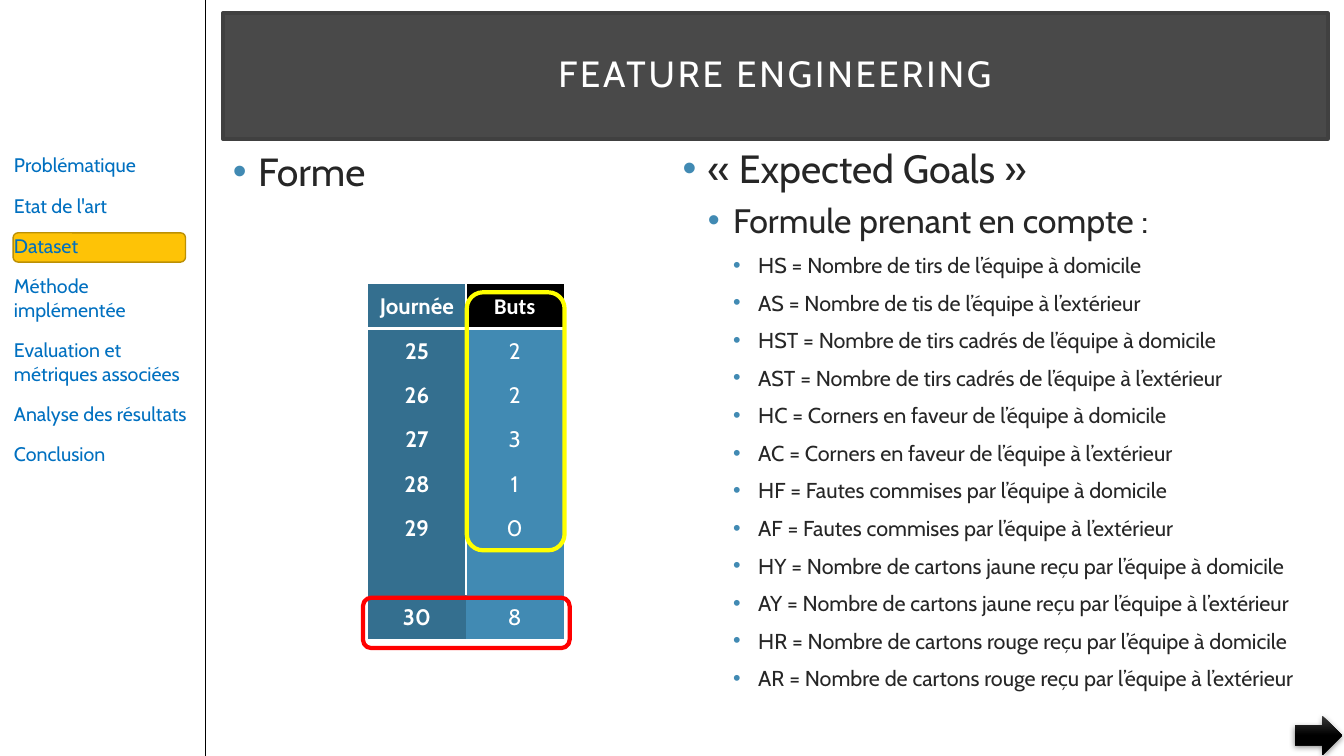
from lxml.etree import SubElement
from pptx import Presentation
from pptx.dml.color import RGBColor
from pptx.enum.shapes import MSO_CONNECTOR, MSO_SHAPE
from pptx.enum.text import MSO_ANCHOR, MSO_AUTO_SIZE, PP_ALIGN
from pptx.oxml.ns import qn
from pptx.util import Inches, Pt

COLORS = {
    "link": "0070C0", "gold": "FEC306", "gold_edge": "BC9004",
    "black": "000000", "white": "FFFFFF", "banner": "0D0D0D",
    "banner_edge": "404040", "text": "262626", "blue": "418AB3",
    "dark_blue": "346F8F", "red": "FF0000", "yellow": "FFFF00",
    "arrow_top": "393939",
}
FONT = "Cabin"
HEADING = "FEATURE ENGINEERING"
SECTIONS = [
    "Problématique", "Etat de l'art", "Dataset", "Méthode implémentée",
    "Evaluation et métriques associées", "Analyse des résultats", "Conclusion",
]
FORM = [(0, "Forme")]
FACTORS = [
    "HS = Nombre de tirs de l’équipe à domicile",
    "AS = Nombre de tis de l’équipe à l’extérieur",
    "HST = Nombre de tirs cadrés de l’équipe à domicile",
    "AST = Nombre de tirs cadrés de l’équipe à l’extérieur",
    "HC = Corners en faveur de l’équipe à domicile",
    "AC = Corners en faveur de l’équipe à l’extérieur",
    "HF = Fautes commises par l’équipe à domicile",
    "AF = Fautes commises par l’équipe à l’extérieur",
    "HY = Nombre de cartons jaune reçu par l’équipe à domicile",
    "AY = Nombre de cartons jaune reçu par l’équipe à l’extérieur",
    "HR = Nombre de cartons rouge reçu par l’équipe à domicile",
    "AR = Nombre de cartons rouge reçu par l’équipe à l’extérieur",
]
EXPECTED_GOALS = [(0, "« Expected Goals »"), (1, "Formule prenant en compte :")]
EXPECTED_GOALS += [(2, factor) for factor in FACTORS]
MATCHDAYS = [
    ("Journée", "Buts"), ("25", "2"), ("26", "2"), ("27", "3"),
    ("28", "1"), ("29", "0"), ("", ""), ("30", "8"),
]
COLUMN_WIDTH, ROW_HEIGHT = 0.97, 0.44
SPACING = {"space_before": Pt(6), "space_after": Pt(6)}


def rgb(name):
    return RGBColor.from_string(COLORS[name])


def apply(target, values):
    for key, value in values.items():
        setattr(target, key, value)


def place(shape, box):
    apply(shape, dict(zip(("left", "top", "width", "height"), map(Inches, box))))


def write(paragraph, text, size, color, bold=False, font=FONT):
    run = paragraph.add_run()
    run.text = text
    apply(run.font, {"name": font, "size": Pt(size), "bold": bold})
    run.font.color.rgb = rgb(color)
    return run


def add_preset(slide, kind, box, fill=None, edge=None, width=1):
    shape = slide.shapes.add_shape(kind, *map(Inches, box))
    shape.shadow.inherit = False
    if fill:
        shape.fill.solid()
        shape.fill.fore_color.rgb = rgb(fill)
    else:
        shape.fill.background()
    if edge:
        shape.line.color.rgb = rgb(edge)
        shape.line.width = Pt(width)
    else:
        shape.line.fill.background()
    return shape


def add_sidebar(slide):
    add_preset(slide, MSO_SHAPE.ROUNDED_RECTANGLE, (0.13, 2.31, 1.71, 0.29), "gold", "gold_edge")
    divider = slide.shapes.add_connector(
        MSO_CONNECTOR.STRAIGHT, Inches(2.04), 0, Inches(2.04), Inches(7.5))
    divider.line.color.rgb = rgb("black")
    divider.line.width = Pt(1)
    SubElement(divider._element.spPr, qn("a:effectLst"))
    menu = slide.shapes.add_textbox(*map(Inches, (0.04, 1.47, 1.93, 3.23))).text_frame
    menu.word_wrap = True
    for index, section in enumerate(SECTIONS):
        paragraph = menu.paragraphs[0] if index == 0 else menu.add_paragraph()
        apply(paragraph, SPACING)
        write(paragraph, section, 14, "link")


def fill_title(title):
    place(title, (2.21, 0.13, 10.96, 1.25))
    title.fill.solid()
    title.fill.fore_color.rgb = rgb("banner")
    color = title._element.spPr.find(qn("a:solidFill"))[0]
    SubElement(color, qn("a:alpha"), val="75000")
    title.line.color.rgb = rgb("banner_edge")
    title.line.width = Pt(2.5)
    frame = title.text_frame
    apply(frame, {"auto_size": MSO_AUTO_SIZE.NONE, "vertical_anchor": MSO_ANCHOR.MIDDLE})
    apply(frame, {f"margin_{side}": Inches(0.2) for side in ("left", "top", "right", "bottom")})
    paragraph = frame.paragraphs[0]
    apply(paragraph, {"alignment": PP_ALIGN.CENTER, "line_spacing": 0.9})
    run = write(paragraph, HEADING, 26, "white")
    run.font._element.set("spc", "200")


def fill_list(body, box, items, sizes, line_spacing):
    place(body, box)
    frame = body.text_frame
    apply(frame, {"auto_size": MSO_AUTO_SIZE.NONE, "vertical_anchor": MSO_ANCHOR.TOP})
    for index, (level, text) in enumerate(items):
        paragraph = frame.paragraphs[0] if index == 0 else frame.add_paragraph()
        apply(paragraph, {**SPACING, "level": level, "line_spacing": line_spacing})
        properties = paragraph._p.get_or_add_pPr()
        properties.set("marL", str(Inches(0.25 * (level + 1))))
        properties.set("indent", str(Inches(-0.25)))
        bullet_color = SubElement(properties, qn("a:buClr"))
        SubElement(bullet_color, qn("a:srgbClr"), val=COLORS["blue"])
        SubElement(properties, qn("a:buFont"), typeface="Arial")
        SubElement(properties, qn("a:buChar"), char="•")
        write(paragraph, text, sizes[level], "text")


def add_border(cell, side):
    border = SubElement(cell._tc.get_or_add_tcPr(), qn(f"a:ln{side}"), w=str(Pt(2)))
    fill = SubElement(border, qn("a:solidFill"))
    SubElement(fill, qn("a:srgbClr"), val=COLORS["white"])


def add_matchdays(slide):
    rows, columns = len(MATCHDAYS), len(MATCHDAYS[0])
    size = (COLUMN_WIDTH * columns, ROW_HEIGHT * rows)
    table = slide.shapes.add_table(rows, columns, *map(Inches, (3.65, 2.82, *size))).table
    table._tbl.tblPr.find(qn("a:tableStyleId")).text = "{2D5ABB26-0587-4C30-8999-92F81FD0307C}"
    for column in table.columns:
        column.width = Inches(COLUMN_WIDTH)
    for r, values in enumerate(MATCHDAYS):
        table.rows[r].height = Inches(ROW_HEIGHT)
        for c, value in enumerate(values):
            cell = table.cell(r, c)
            apply(cell, {
                "vertical_anchor": MSO_ANCHOR.MIDDLE, "margin_left": Inches(0.01),
                "margin_right": Inches(0.01), "margin_top": Inches(0.01), "margin_bottom": 0,
            })
            if c == 0 and r < rows - 1:
                add_border(cell, "R")
            if r == 0:
                add_border(cell, "B")
            cell.fill.solid()
            fill = "dark_blue" if c == 0 else "black" if r == 0 else "blue"
            cell.fill.fore_color.rgb = rgb(fill)
            if value:
                paragraph = cell.text_frame.paragraphs[0]
                paragraph.alignment = PP_ALIGN.CENTER
                font = "Calibri" if (r, c) == (0, 1) else FONT
                write(paragraph, value, 16, "white", r == 0 or c == 0, font)


def add_next_arrow(slide):
    arrow = add_preset(slide, MSO_SHAPE.RIGHT_ARROW, (12.84, 7.1, 0.47, 0.39))
    arrow.fill.gradient()
    arrow.fill.gradient_angle = 270
    for stop, color, position in zip(arrow.fill.gradient_stops, ("arrow_top", "black"), (0, 0.5)):
        stop.color.rgb = rgb(color)
        stop.position = position
    effects = arrow._element.spPr.find(qn("a:effectLst"))
    shadow = SubElement(effects, qn("a:outerShdw"), blurRad=str(Pt(4.4)),
                        dist=str(Pt(1.2)), dir="5400000", rotWithShape="0")
    color = SubElement(shadow, qn("a:srgbClr"), val=COLORS["black"])
    SubElement(color, qn("a:alpha"), val="45000")


def main():
    deck = Presentation()
    apply(deck, {"slide_width": Inches(13.33), "slide_height": Inches(7.5)})
    slide = deck.slides.add_slide(deck.slide_layouts[3])
    title, form, expected_goals = slide.placeholders
    add_sidebar(slide)
    fill_title(title)
    fill_list(expected_goals, (6.67, 1.47, 6.51, 5.91), EXPECTED_GOALS, (28.1, 24.2, 15.4), 0.8)
    fill_list(form, (2.21, 1.41, 4.45, 5.91), FORM, (28,), 1.0)
    add_matchdays(slide)
    add_preset(slide, MSO_SHAPE.ROUNDED_RECTANGLE, (3.6, 5.93, 2.05, 0.5), edge="red", width=3)
    add_preset(slide, MSO_SHAPE.ROUNDED_RECTANGLE, (4.63, 2.9, 0.97, 2.56), edge="yellow", width=3)
    add_next_arrow(slide)
    deck.save("out.pptx")


if __name__ == "__main__":
    main()
